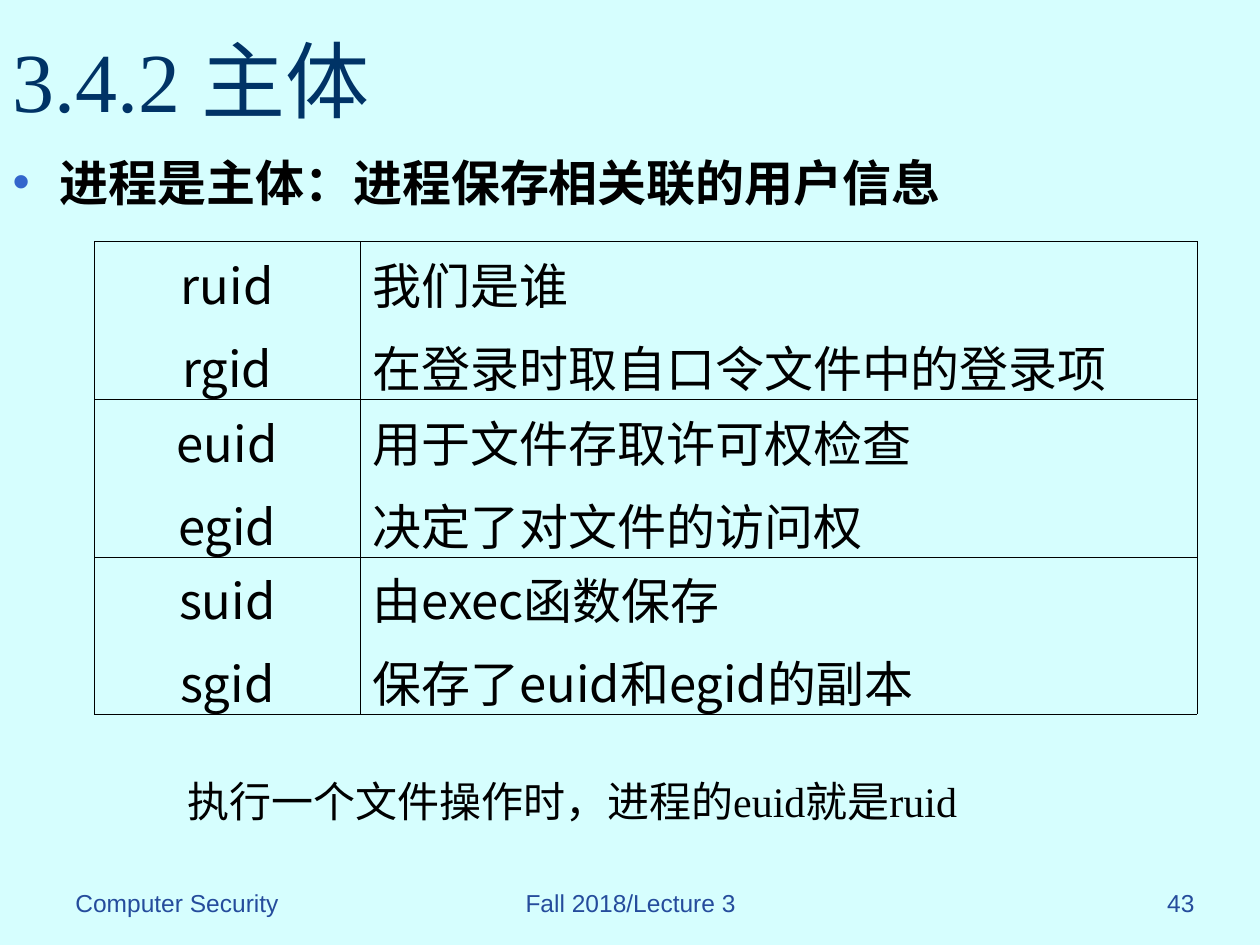
from lxml import etree
from pptx import Presentation
from pptx import util as u
from pptx.dml import color
from pptx.enum import text
from pptx.oxml import ns

COLOURS = {
    "background": "D6FEFE",
    "title": "003366",
    "bullet": "3366CC",
    "footer": "254C9C",
    "body": "000000",
}
LEFT, CENTRE, RIGHT = text.PP_ALIGN.LEFT, text.PP_ALIGN.CENTER, text.PP_ALIGN.RIGHT
CJK_FONT = "Noto Sans CJK SC"

TITLE_FONT = {"name": "Times New Roman", "size": u.Pt(48), "bold": False}
BODY_FONT = {"name": "Arial", "size": u.Pt(28), "bold": True}
CELL_FONT = {"name": CJK_FONT, "size": u.Pt(28), "bold": False}
NOTE_FONT = {"name": "Times New Roman", "size": u.Pt(24)}
FOOTER_FONT = {"name": "Arial", "size": u.Pt(14)}

ROWS = [
    (["ruid", "rgid"], ["我们是谁", "在登录时取自口令文件中的登录项"]),
    (["euid", "egid"], ["用于文件存取许可权检查", "决定了对文件的访问权"]),
    (["suid", "sgid"], ["由exec函数保存", "保存了euid和egid的副本"]),
]


def apply_format(target, values):
    for name, value in values.items():
        setattr(target, name, value)


def add_child(parent, tag, **attributes):
    return etree.SubElement(parent, ns.qn(tag), attributes)


def place(shape, box):
    names = ("left", "top", "width", "height")
    apply_format(shape, {name: u.Cm(value) for name, value in zip(names, box)})


def write(frame, lines, font, colour, layout):
    for index, line in enumerate(lines):
        paragraph = frame.paragraphs[0] if index == 0 else frame.add_paragraph()
        apply_format(paragraph, layout)
        run = paragraph.add_run()
        run.text = line
        apply_format(run.font, font)
        run.font.color.rgb = color.RGBColor.from_string(COLOURS[colour])
        add_child(run.font._element, "a:ea", typeface=CJK_FONT)


def add_text_box(slide, box, line, font, colour, layout):
    shape = slide.shapes.add_textbox(*map(u.Cm, box))
    shape.text_frame.word_wrap = True
    write(shape.text_frame, [line], font, colour, layout)
    return shape


def fill_title(slide, box):
    shape = slide.shapes.title
    place(shape, box)
    apply_format(shape.text_frame, {
        "vertical_anchor": text.MSO_ANCHOR.MIDDLE,
        "auto_size": text.MSO_AUTO_SIZE.NONE,
    })
    write(shape.text_frame, ["3.4.2 主体"], TITLE_FONT, "title", {"alignment": LEFT})


def fill_body(slide, box):
    shape = slide.placeholders[1]
    place(shape, box)
    shape.text_frame.auto_size = text.MSO_AUTO_SIZE.NONE
    layout = {"alignment": LEFT, "line_spacing": 0.8, "space_before": u.Pt(7)}
    write(shape.text_frame, ["进程是主体：进程保存相关联的用户信息"], BODY_FONT, "body", layout)
    properties = shape.text_frame.paragraphs[0]._p.get_or_add_pPr()
    indent = u.Cm(0.95)
    properties.set("marL", str(indent))
    properties.set("indent", str(-indent))
    bullet_colour = add_child(properties, "a:buClr")
    add_child(bullet_colour, "a:srgbClr", val=COLOURS["bullet"])
    add_child(properties, "a:buFont", typeface="Arial")
    add_child(properties, "a:buChar", char="•")


def outline_cell(cell):
    properties = cell._tc.get_or_add_tcPr()
    for position, side in enumerate(("a:lnL", "a:lnR", "a:lnT", "a:lnB")):
        line = add_child(properties, side, w=str(u.Pt(0.23)))
        add_child(add_child(line, "a:solidFill"), "a:srgbClr", val=COLOURS["body"])
        properties.insert(position, line)


def add_id_table(slide, box):
    frame = slide.shapes.add_table(len(ROWS), 2, *map(u.Cm, box))
    table = frame.table
    apply_format(table, {"first_row": False, "horz_banding": False})
    name_width = 5.36
    for column, width in zip(table.columns, (name_width, box[2] - name_width)):
        column.width = u.Cm(width)
    styles = ((CENTRE, text.MSO_ANCHOR.MIDDLE), (LEFT, text.MSO_ANCHOR.TOP))
    for row, contents in zip(table.rows, ROWS):
        for cell, lines, (alignment, anchor) in zip(row.cells, contents, styles):
            cell.fill.background()
            cell.vertical_anchor = anchor
            layout = {"alignment": alignment, "space_before": u.Pt(7)}
            write(cell.text_frame, lines, CELL_FONT, "body", layout)
            outline_cell(cell)


def add_note(slide, box):
    shape = add_text_box(slide, box, "执行一个文件操作时，进程的euid就是ruid", NOTE_FONT, "body",
                         {"alignment": CENTRE, "line_spacing": 0.8})
    shape.text_frame.auto_size = text.MSO_AUTO_SIZE.SHAPE_TO_FIT_TEXT


def add_footer(slide, box):
    left, top, width, height = box
    side_width, middle_width = 5.28, 8.05
    parts = (
        ("Computer Security", LEFT, 0, side_width),
        ("Fall 2018/Lecture 3", CENTRE, 7.42, middle_width),
        ("43", RIGHT, width - side_width, side_width),
    )
    for line, alignment, offset, part_width in parts:
        add_text_box(slide, (left + offset, top, part_width, height), line, FOOTER_FONT,
                     "footer", {"alignment": alignment, "space_before": u.Pt(8.8)})


def main():
    presentation = Presentation()
    apply_format(presentation, {"slide_width": u.Cm(25.4), "slide_height": u.Cm(19.05)})
    slide = presentation.slides.add_slide(presentation.slide_layouts[1])
    background = slide.background.fill
    background.solid()
    background.fore_color.rgb = color.RGBColor.from_string(COLOURS["background"])
    add_footer(slide, (1.27, 17.78, 23.06, 1.27))
    fill_title(slide, (0, 0, 25.4, 3.18))
    fill_body(slide, (0, 3.18, 25.4, 1.7))
    add_id_table(slide, (1.9, 4.87, 22.23, 9.53))
    add_note(slide, (1.27, 15.7, 20.53, 2.08))
    presentation.save("out.pptx")


if __name__ == "__main__":
    main()
